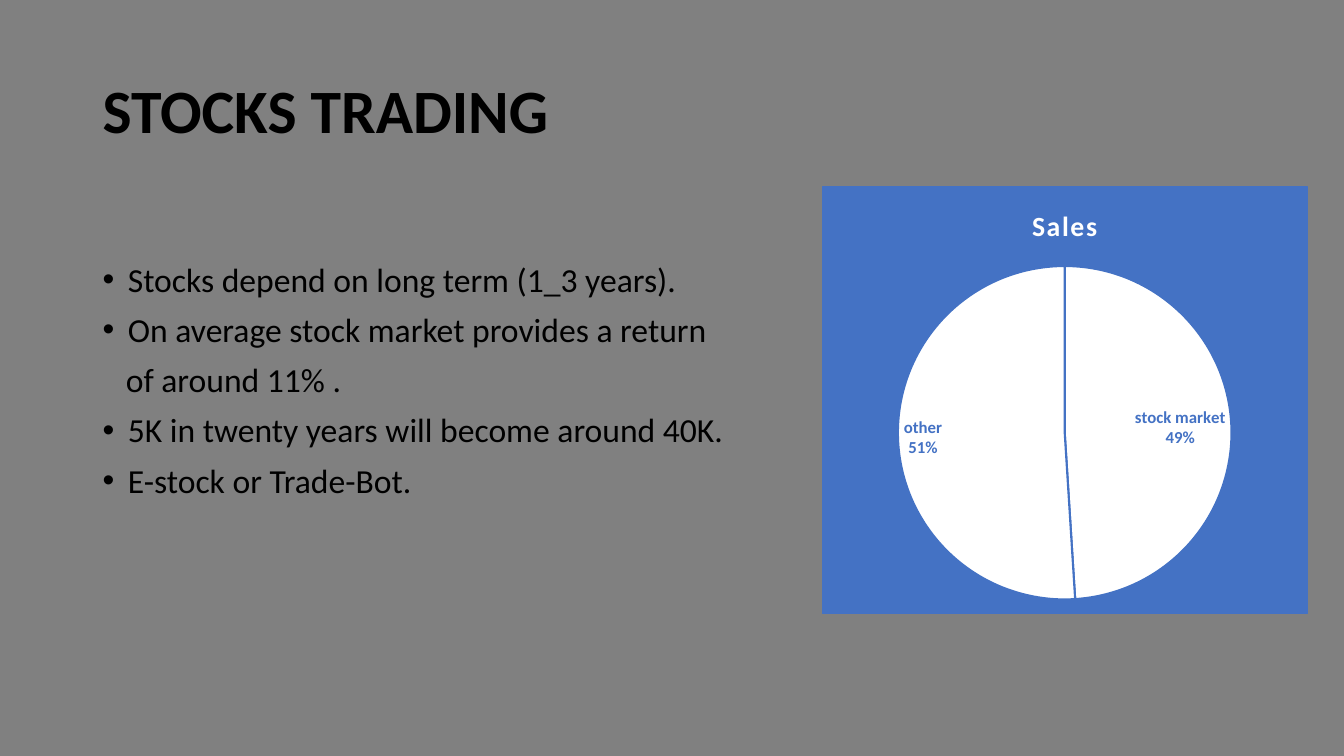
from lxml.etree import SubElement
from pptx import Presentation
from pptx.chart.data import CategoryChartData
from pptx.dml.color import RGBColor
from pptx.enum.chart import XL_CHART_TYPE as ChartType, XL_LABEL_POSITION as LabelPosition
from pptx.enum.text import MSO_ANCHOR as Anchor
from pptx.oxml import parse_xml
from pptx.oxml.ns import nsdecls, qn
from pptx.util import Inches, Pt

GRAY = RGBColor(0x80, 0x80, 0x80)
BLACK = RGBColor(0, 0, 0)
WHITE = RGBColor(0xFF, 0xFF, 0xFF)
BLUE = RGBColor(0x44, 0x72, 0xC4)
FONT = "Calibri"

POINTS = [
    ("Stocks depend on long term (1_3 years).", True),
    ("On average stock market provides a return", True),
    ("of around 11% .", False),
    ("5K in twenty years will become around 40K.", True),
    ("E-stock or Trade-Bot.", True),
]


def style_font(font, size, color, bold=False):
    font.name = FONT
    font.size = Pt(size)
    font.bold = bold
    font.color.rgb = color


def add_text_frame(slide, top, height):
    box = slide.shapes.add_textbox(Inches(0.92), Inches(top), Inches(11.5), Inches(height))
    box.text_frame.word_wrap = True
    return box.text_frame


prs = Presentation()
prs.slide_width, prs.slide_height = Inches(13.33), Inches(7.5)
slide = prs.slides.add_slide(prs.slide_layouts[6])
slide.background.fill.solid()
slide.background.fill.fore_color.rgb = GRAY

# Heading
heading = add_text_frame(slide, 0.4, 1.45)
heading.vertical_anchor = Anchor.MIDDLE
heading_line = heading.paragraphs[0]
heading_line.text = "STOCKS TRADING"
heading_line.line_spacing = 0.9
style_font(heading_line.font, 44, BLACK, bold=True)

# Bullet points, with one unbulleted continuation line
body = add_text_frame(slide, 2.56, 3.99)
for index, (wording, bulleted) in enumerate(POINTS):
    point = body.add_paragraph() if index else body.paragraphs[0]
    point.text = wording
    point.line_spacing = 0.9
    point.space_before = Pt(10)
    style_font(point.font, 24, BLACK)
    properties = point._p.get_or_add_pPr()
    properties.set("marL", str(Inches(0.25 if bulleted else 0.23)))
    if bulleted:
        properties.set("indent", str(Inches(-0.25)))
        bullet_font = SubElement(properties, qn("a:buFont"), typeface="Arial")
        bullet_font.addnext(parse_xml(f'<a:buChar {nsdecls("a")} char="•"/>'))
        properties.append(properties.find(qn("a:defRPr")))

# Sales pie
sales_data = CategoryChartData()
sales_data.categories = ["stock market", "other"]
sales_data.add_series("Sales", (49, 51))
sales = slide.shapes.add_chart(
    ChartType.PIE, Inches(8.15), Inches(1.85), Inches(4.82), Inches(4.24), sales_data
).chart
sales.has_legend = False
style_font(sales.font, 10, BLACK)

sales.has_title = True
sales.chart_title.include_in_layout = False
title_line = sales.chart_title.text_frame.paragraphs[0]
title_run = title_line.add_run()
title_run.text = "Sales"
style_font(title_run.font, 19.9, WHITE, bold=True)
title_run._r.get_or_add_rPr().set("spc", "100")

pie = sales.plots[0]
pie.vary_by_categories = True
for index in range(2):
    wedge = pie.series[0].points[index].format
    wedge.fill.solid()
    wedge.fill.fore_color.rgb = WHITE
    wedge.line.color.rgb = BLUE
    wedge.line.width = Pt(1.5)

pie.has_data_labels = True
labels = pie.data_labels
labels.show_value = False
labels.show_category_name = True
labels.show_percentage = True
labels.position = LabelPosition.INSIDE_END
style_font(labels.font, 12, BLUE, bold=True)

# Blue panel behind the pie
panel = parse_xml(
    f'<c:spPr {nsdecls("c", "a")}>'
    f'<a:solidFill><a:srgbClr val="{BLUE}"/></a:solidFill>'
    f'<a:ln w="{Pt(0.75)}"><a:solidFill><a:srgbClr val="{BLUE}"/></a:solidFill></a:ln>'
    "</c:spPr>"
)
sales._chartSpace.chart.addnext(panel)

prs.save("out.pptx")
